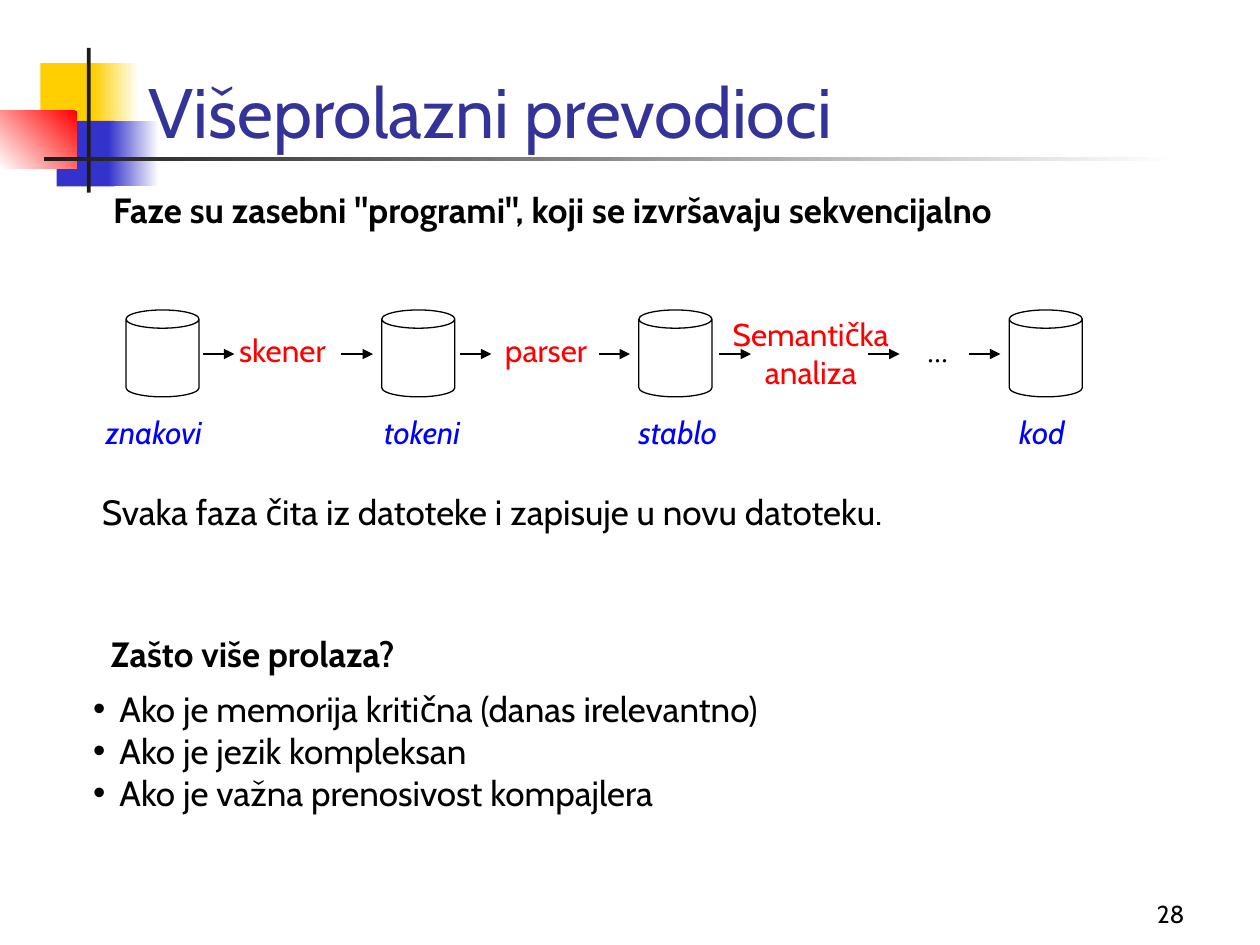
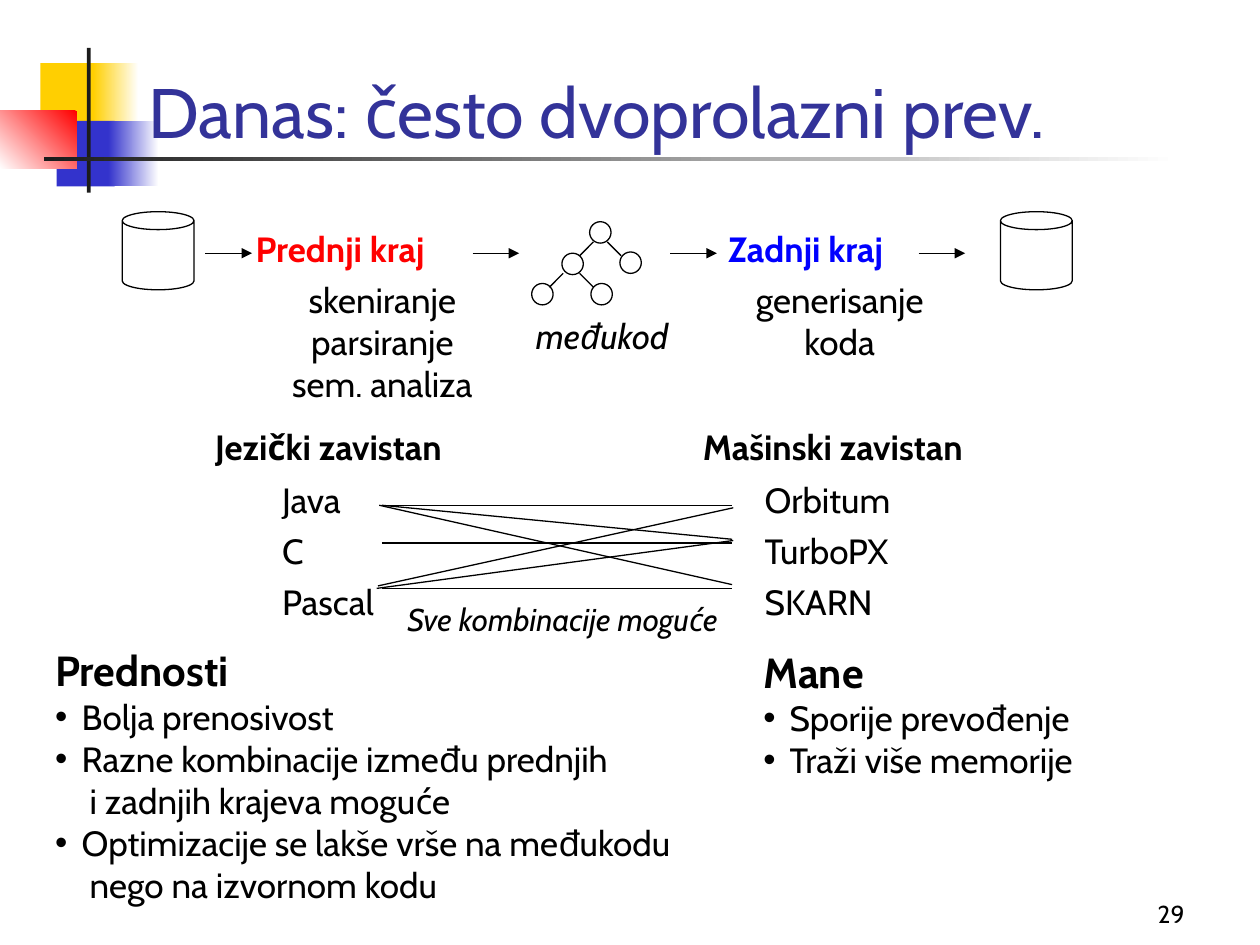
from lxml.etree import SubElement
from pptx import Presentation
from pptx.dml.color import RGBColor
from pptx.enum.shapes import MSO_CONNECTOR, MSO_SHAPE as SHAPE
from pptx.enum.text import MSO_ANCHOR as ANCHOR, MSO_AUTO_SIZE as FIT, PP_ALIGN as ALIGN
from pptx.oxml.ns import qn
from pptx.util import Pt

PX = 9144
FONT = "Cabin"
BLACK = RGBColor(0x00, 0x00, 0x00)
WHITE = RGBColor(0xFF, 0xFF, 0xFF)
RED = RGBColor(0xFF, 0x00, 0x00)
BLUE = RGBColor(0x00, 0x00, 0xFF)
TITLE = RGBColor(0x33, 0x33, 0x99)
YELLOW = RGBColor(0xFF, 0xCF, 0x01)
INDIGO = RGBColor(0x33, 0x33, 0xCC)
DARK = RGBColor(0x1C, 0x1C, 0x1C)


def add_text(s, x, y, w, h, lines, size=20, color=BLACK, bold=False, italic=False,
             align=ALIGN.LEFT, font=FONT, gap=0, bullet=False, heading=None):
    sp = s.shapes.add_textbox(x * PX, y * PX, w * PX, h * PX)
    tf = sp.text_frame
    tf.word_wrap = False
    tf.auto_size = FIT.SHAPE_TO_FIT_TEXT
    paras = [heading, *lines] if heading else lines
    for i, para in enumerate(paras):
        is_heading = heading is not None and i == 0
        p = tf.paragraphs[0] if i == 0 else tf.add_paragraph()
        p.alignment = align
        if gap and i:
            p.space_before = Pt(gap)
        if bullet and not is_heading:
            pPr = p._p.get_or_add_pPr()
            pPr.set("marL", str(21 * PX))
            pPr.set("indent", str(-21 * PX))
            SubElement(pPr, qn("a:buFont"), typeface="Arial")
            SubElement(pPr, qn("a:buChar"), char="•")
        for j, part in enumerate(para.split("\n")):
            if j:
                p.add_line_break()
            r = p.add_run()
            r.text = part
            r.font.name = font
            r.font.size = Pt(24 if is_heading else size)
            r.font.bold = bold or is_heading
            r.font.italic = italic
            r.font.color.rgb = color
    return sp


def add_line(s, x1, y1, x2, y2, arrow=False):
    c = s.shapes.add_connector(MSO_CONNECTOR.STRAIGHT, x1 * PX, y1 * PX, x2 * PX, y2 * PX)
    c.line.color.rgb = BLACK
    c.line.width = Pt(0.75)
    spPr = c.element.spPr
    if arrow:
        SubElement(spPr.find(qn("a:ln")), qn("a:tailEnd"), type="triangle")
    SubElement(spPr, qn("a:effectLst"))


prs = Presentation()
prs.slide_width = 1000 * PX
prs.slide_height = 750 * PX
layout = prs.slide_layouts[5]

slides = []
for number, title in [(28, "Višeprolazni prevodioci"), (29, "Danas: često dvoprolazni prev.")]:
    s = prs.slides.add_slide(layout)
    sp = s.shapes.title
    sp.left, sp.top, sp.width, sp.height = 108 * PX, 0, 852 * PX, 126 * PX
    tf = sp.text_frame
    tf.auto_size = FIT.NONE
    tf.vertical_anchor = ANCHOR.BOTTOM
    p = tf.paragraphs[0]
    p.alignment = ALIGN.LEFT
    r = p.add_run()
    r.text = title
    r.font.name = FONT
    r.font.size = Pt(40)
    r.font.color.rgb = TITLE
    sp = add_text(s, 842, 692, 108, 50, [str(number)], 14, align=ALIGN.RIGHT)
    sp.text_frame.word_wrap = True
    sp.text_frame.auto_size = FIT.NONE
    sp.text_frame.vertical_anchor = ANCHOR.BOTTOM
    slides.append(s)
passes, two_pass = slides

bands = [
    (32, 50, 48, 52, YELLOW, None, 0),
    (74, 50, 36, 52, WHITE, YELLOW, 180),
    (45, 96, 46, 52, INDIGO, None, 0),
    (86, 96, 40, 52, WHITE, INDIGO, 180),
    (0, 88, 61, 46, RED, WHITE, 225),
    (69, 38, 3, 115, DARK, None, 0),
    (35, 125, 900, 3, WHITE, DARK, 180),
]
for i, (x, y, w, h, start, end, angle) in enumerate(bands):
    sp = passes.shapes.add_shape(SHAPE.RECTANGLE, x * PX, y * PX, w * PX, h * PX)
    sp.shadow.inherit = False
    sp.line.fill.background()
    if end is None:
        sp.fill.solid()
        sp.fill.fore_color.rgb = start
    else:
        sp.fill.gradient()
        sp.fill.gradient_angle = angle
        for stop, position, color in zip(sp.fill.gradient_stops, (0, 1), (start, end)):
            stop.position = position
            stop.color.rgb = color
    sp.element.nvSpPr.cNvPr.id = 20 + i
    layout.shapes.element.append(sp.element)

files = [(passes, SHAPE.CAN, x, 246, 58, 69) for x in (100, 303, 507, 801)]
files += [(two_pass, SHAPE.CAN, x, 168, 57, 62) for x in (97, 794)]
nodes = [(422, 225), (469, 225), (446, 201), (468, 176), (492, 200)]
files += [(two_pass, SHAPE.OVAL, x, y, 17, 17) for x, y in nodes]
for s, kind, x, y, w, h in files:
    sp = s.shapes.add_shape(kind, x * PX, y * PX, w * PX, h * PX)
    sp.shadow.inherit = False
    sp.fill.background()
    sp.line.color.rgb = BLACK
    sp.line.width = Pt(0.75)

s = passes
add_text(s, 80, 145, 847, 44, ['Faze su zasebni "programi", koji se izvršavaju sekvencijalno'], bold=True)
add_text(s, 71, 384, 718, 44, ["Svaka faza čita iz datoteke i zapisuje u novu datoteku."])
for x, w, name in [(74, 104, "znakovi"), (295, 88, "tokeni"), (497, 88, "stablo"), (799, 61, "kod")]:
    add_text(s, x, 323, w, 40, [name], 18, BLUE, italic=True)
for x, w, name in [(180, 99, "skener"), (391, 96, "parser")]:
    add_text(s, x, 258, w, 40, [name], 18, RED)
add_text(s, 566, 245, 155, 70, ["Semantička\nanaliza"], 18, RED, align=ALIGN.CENTER)
add_text(s, 726, 261, 42, 37, ["..."], 16, font="Times New Roman")
for x in (161, 271, 365, 475, 571, 689, 769):
    add_line(s, x, 281, x + 25, 281, arrow=True)
add_text(s, 78, 497, 281, 44, ["Zašto više prolaza?"], bold=True)
add_text(s, 64, 541, 616, 110, [
    "Ako je memorija kritična (danas irelevantno)",
    "Ako je jezik kompleksan",
    "Ako je važna prenosivost kompajlera",
], bullet=True)

s = two_pass
for x, w, name, color in [(193, 182, "Prednji kraj", RED), (568, 168, "Zadnji kraj", BLUE)]:
    add_text(s, x, 176, w, 44, [name], color=color, bold=True)
add_text(s, 213, 216, 181, 110, ["skeniranje", "parsiranje", "sem. analiza"], align=ALIGN.CENTER)
add_text(s, 580, 216, 173, 77, ["generisanje\nkoda"], align=ALIGN.CENTER)
add_text(s, 410, 245, 136, 44, ["međukod"], italic=True, align=ALIGN.CENTER)
for x in (163, 375, 532, 729):
    add_line(s, x, 201, x + 37, 201, arrow=True)
for x, y, dx in [(436, 228, 11), (471, 228, -11), (460, 203, 11), (493, 203, -11)]:
    add_line(s, x, y, x + dx, y - 11)

for x, w, heading, list_x, list_w, names in [
    (161, 231, "Jezički zavistan", 214, 102, ["Java", "C", "Pascal"]),
    (548, 266, "Mašinski zavistan", 597, 137, ["Orbitum", "TurboPX", "SKARN"]),
]:
    add_text(s, x, 333, w, 44, [heading], bold=True)
    add_text(s, list_x, 375, list_w, 124, names, gap=5)
for x1, y1, x2, y2 in [
    (303, 401, 581, 401), (303, 401, 581, 428), (301, 401, 581, 464),
    (300, 465, 582, 403), (299, 467, 582, 429),
    (303, 431, 581, 431), (303, 467, 581, 467),
]:
    add_line(s, x1, y1, x2, y2)
add_text(s, 300, 471, 293, 40, ["Sve kombinacije moguće"], 18, italic=True, align=ALIGN.CENTER)

add_text(s, 34, 507, 564, 217, [
    "Bolja prenosivost",
    "Razne kombinacije između prednjih\n i zadnjih krajeva moguće",
    "Optimizacije se lakše vrše na međukodu\n nego na izvornom kodu",
], bullet=True, heading="Prednosti")
add_text(s, 596, 508, 294, 117, ["Sporije prevođenje", "Traži više memorije"],
         bullet=True, heading="Mane")

prs.save("out.pptx")
